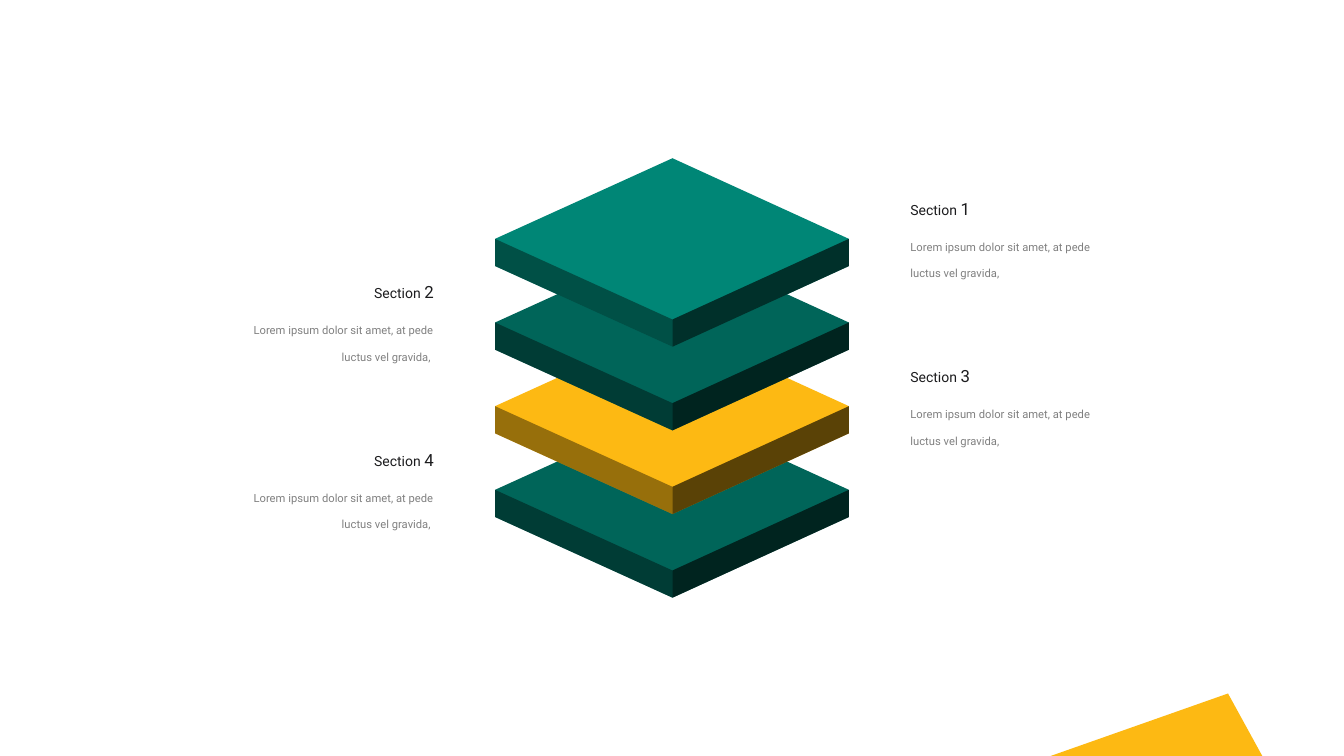
"""Build a slide with four stacked isometric layers and a caption beside each."""
from dataclasses import dataclass

import lxml.etree
import pptx
import pptx.dml.color
import pptx.enum.text
import pptx.oxml.ns
import pptx.shapes.autoshape
import pptx.slide
import pptx.text.text
import pptx.util

RGBColor = pptx.dml.color.RGBColor
Inches = pptx.util.Inches
Pt = pptx.util.Pt
PP_ALIGN = pptx.enum.text.PP_ALIGN
Point = tuple[float, float]

TEAL = RGBColor(0x00, 0x86, 0x76)
DARK_TEAL = RGBColor(0x00, 0x65, 0x59)
AMBER = RGBColor(0xFD, 0xB9, 0x13)
BLACK = RGBColor(0x00, 0x00, 0x00)
INK = RGBColor(0x1C, 0x1C, 0x1E)
GREY = RGBColor(0x80, 0x80, 0x80)

FONT = "Roboto"
BODY = "Lorem ipsum dolor sit amet, at pede luctus vel gravida,"
LEFT, MIDDLE, RIGHT = 4.91, 6.67, 8.42
HALF_HEIGHT = 0.8
THICKNESS = 0.27
STACK_TOP = 1.57
CAPTION_TOP = 1.92
STEP = 0.83
SHADE_OPACITY = 40


@dataclass(frozen=True)
class Layer:
    number: int
    color: RGBColor


@dataclass(frozen=True)
class CaptionSide:
    heading_left: float
    body_left: float
    align: PP_ALIGN
    body: str


LAYERS = [Layer(1, TEAL), Layer(2, DARK_TEAL), Layer(3, AMBER), Layer(4, DARK_TEAL)]
RIGHT_SIDE = CaptionSide(9.03, 9.03, PP_ALIGN.LEFT, BODY)
LEFT_SIDE = CaptionSide(3.71, 2.25, PP_ALIGN.RIGHT, BODY + " ")


def add_polygon(
    s: pptx.slide.Slide, points: list[Point], color: RGBColor, opacity: int = 100
) -> pptx.shapes.autoshape.Shape:
    (x, y), *rest = [(Inches(px), Inches(py)) for px, py in points]
    builder = s.shapes.build_freeform(x, y)
    builder.add_line_segments(rest, close=True)
    sp = builder.convert_to_shape()
    sp.shadow.inherit = False
    sp.line.fill.background()
    sp.fill.solid()
    sp.fill.fore_color.rgb = color
    if opacity < 100:
        rgb = sp.fill._xPr.find(".//" + pptx.oxml.ns.qn("a:srgbClr"))
        alpha = lxml.etree.SubElement(rgb, pptx.oxml.ns.qn("a:alpha"))
        alpha.set("val", str(opacity * 1000))
    return sp


def add_layer(s: pptx.slide.Slide, layer: Layer) -> None:
    apex = STACK_TOP + (layer.number - 1) * STEP
    edge = apex + HALF_HEIGHT
    front = edge + HALF_HEIGHT
    left, right = (LEFT, edge), (RIGHT, edge)
    near = (MIDDLE, front)
    low_left, low_right = (LEFT, edge + THICKNESS), (RIGHT, edge + THICKNESS)
    low_near = (MIDDLE, front + THICKNESS)
    block = [left, (MIDDLE, apex), right, low_right, low_near, low_left]
    both_sides = [right, low_right, low_near, low_left, left, near]
    right_side = [near, low_near, low_right, right]
    add_polygon(s, block, layer.color)
    for face in (both_sides, right_side):
        add_polygon(s, face, BLACK, SHADE_OPACITY)


def add_text(
    s: pptx.slide.Slide,
    box: tuple[float, float, float, float],
    align: PP_ALIGN,
    right_inset: float,
    wrap: bool,
) -> pptx.text.text._Paragraph:
    tf = s.shapes.add_textbox(*map(Inches, box)).text_frame
    tf.word_wrap = wrap
    tf.auto_size = pptx.enum.text.MSO_AUTO_SIZE.SHAPE_TO_FIT_TEXT
    tf.vertical_anchor = pptx.enum.text.MSO_ANCHOR.MIDDLE
    tf.margin_left, tf.margin_right = 0, Inches(right_inset)
    p = tf.paragraphs[0]
    p.alignment = align
    p.font.name = FONT
    return p


def add_caption(s: pptx.slide.Slide, number: int) -> None:
    side = RIGHT_SIDE if number % 2 else LEFT_SIDE
    top = CAPTION_TOP + (number - 1) * STEP
    p = add_text(s, (side.heading_left, top, 0.69, 0.3), side.align, 0.1, False)
    p.font.color.rgb = INK
    for text, size in (("Section ", 10), (str(number), 12)):
        r = p.add_run()
        r.text = text
        r.font.size = Pt(size)
    p = add_text(s, (side.body_left, top + 0.3, 2.05, 0.59), side.align, 0, True)
    p.text = side.body
    p.line_spacing = Pt(19)
    p.font.size = Pt(8)
    p.font.color.rgb = GREY


def main() -> None:
    prs = pptx.Presentation()
    prs.slide_width, prs.slide_height = Inches(13.33), Inches(7.5)
    s = prs.slides.add_slide(prs.slide_layouts[6])
    add_polygon(s, [(12.18, 6.88), (10.42, 7.5), (12.52, 7.5)], AMBER)
    for layer in reversed(LAYERS):
        add_layer(s, layer)
    for layer in LAYERS:
        add_caption(s, layer.number)
    prs.save("out.pptx")


if __name__ == "__main__":
    main()
